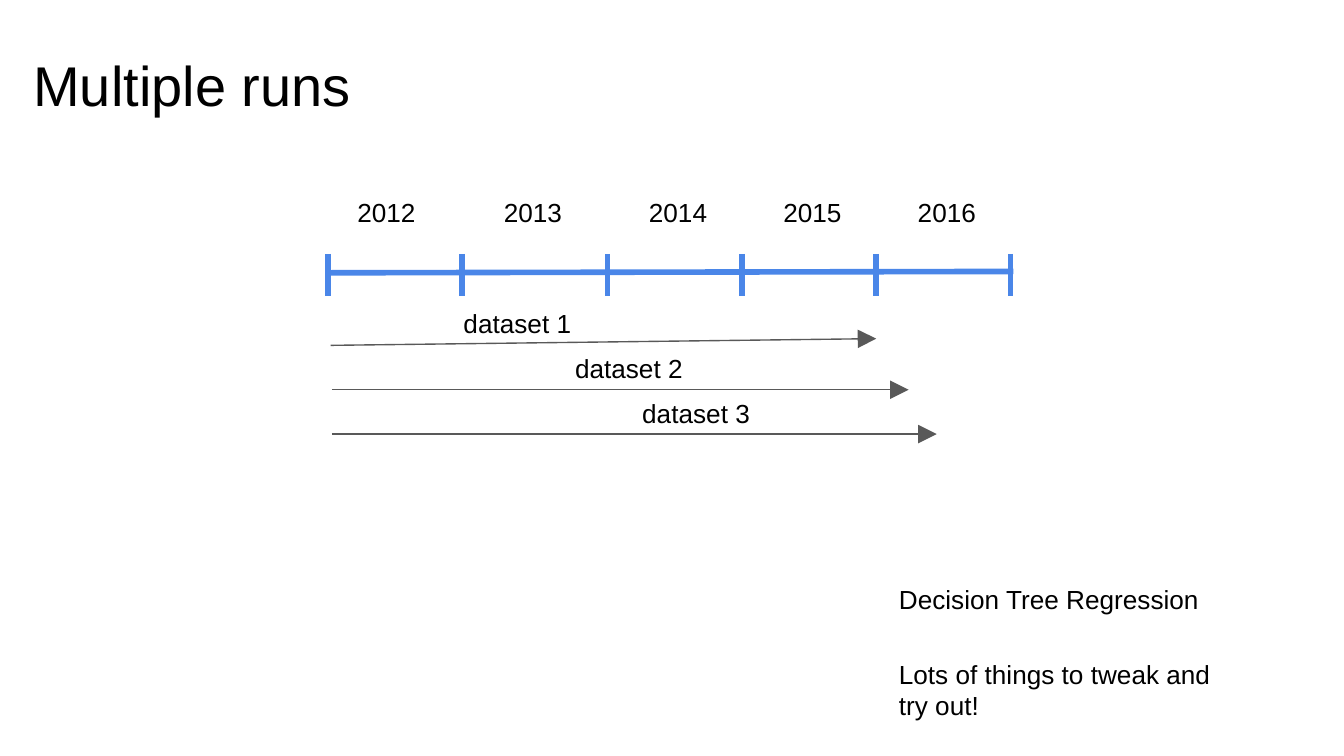
from dataclasses import dataclass

from lxml.etree import SubElement
from pptx import Presentation
from pptx.dml.color import RGBColor
from pptx.enum.shapes import MSO_CONNECTOR
from pptx.enum.text import MSO_AUTO_SIZE
from pptx.oxml.ns import qn
from pptx.slide import Slide
from pptx.util import Inches, Pt

BLUE = "4A86E8"
GRAY = "595959"
BLACK = "000000"
AXIS_START, AXIS_END = 2.44, 7.52
TICK_TOP, TICK_BOTTOM = 1.89, 2.2
TEXT_HEIGHT = 0.16


@dataclass
class Year:
    name: str
    tick: float
    label_left: float


@dataclass
class Label:
    text: str
    left: float
    top: float
    width: float
    height: float = TEXT_HEIGHT
    size: int = 14


@dataclass
class Run:
    start: tuple[float, float]
    end: tuple[float, float]
    label: Label


YEARS = [
    Year("2012", AXIS_START, 2.56),
    Year("2013", 3.44, 3.65),
    Year("2014", 4.52, 4.73),
    Year("2015", 5.52, 5.73),
    Year("2016", 6.52, 6.73),
]
RUNS = [
    Run((2.46, 2.57), (6.52, 2.52), Label("dataset 1", 3.35, 2.21, 1.22)),
    Run((2.47, 2.9), (6.76, 2.9), Label("dataset 2", 4.18, 2.54, 1.68)),
    Run((2.47, 3.23), (6.97, 3.23), Label("dataset 3", 4.68, 2.88, 1.68)),
]
TEXTS = [
    Label("Multiple runs", 0.15, 0.28, 4.15, 0.54, 30),
    Label("Decision Tree Regression", 6.59, 4.26, 2.96),
    Label("Lots of things to tweak and\ntry out!", 6.59, 4.82, 2.96),
]


def color(value: str) -> RGBColor:
    return RGBColor.from_string(value)


def add_line(
    s: Slide,
    start: tuple[float, float],
    end: tuple[float, float],
    hex_color: str,
    width: float,
    arrow: bool = False,
) -> None:
    line = s.shapes.add_connector(
        MSO_CONNECTOR.STRAIGHT, *(Inches(v) for v in (*start, *end))
    )
    line.line.color.rgb = color(hex_color)
    line.line.width = Pt(width)
    props = line.element.spPr
    if arrow:
        SubElement(
            props.find(qn("a:ln")), qn("a:tailEnd"), type="triangle", w="lg", len="lg"
        )
    SubElement(props, qn("a:effectLst"))


def add_label(s: Slide, label: Label) -> None:
    box = s.shapes.add_textbox(
        *(Inches(v) for v in (label.left, label.top, label.width, label.height))
    )
    tf = box.text_frame
    tf.word_wrap = True
    tf.auto_size = MSO_AUTO_SIZE.NONE
    tf.margin_left = tf.margin_right = Inches(0.1)
    tf.margin_top = tf.margin_bottom = Inches(0.1)
    tf.text = label.text
    for p in tf.paragraphs:
        p.font.name = "Arial"
        p.font.size = Pt(label.size)
        p.font.color.rgb = color(BLACK)


def main() -> None:
    prs = Presentation()
    prs.slide_width = Inches(10)
    prs.slide_height = Inches(10) * 9 // 16
    s = prs.slides.add_slide(prs.slide_layouts[6])

    add_line(s, (AXIS_START, 2.03), (7.54, 2.02), BLUE, 3)
    for x in [*(year.tick for year in YEARS), AXIS_END]:
        add_line(s, (x, TICK_TOP), (x, TICK_BOTTOM), BLUE, 3)
    for year in YEARS:
        add_label(s, Label(year.name, year.label_left, 1.38, 0.75))
    for run in RUNS:
        add_line(s, run.start, run.end, GRAY, 0.75, arrow=True)
        add_label(s, run.label)
    for text in TEXTS:
        add_label(s, text)

    prs.save("out.pptx")


if __name__ == "__main__":
    main()
